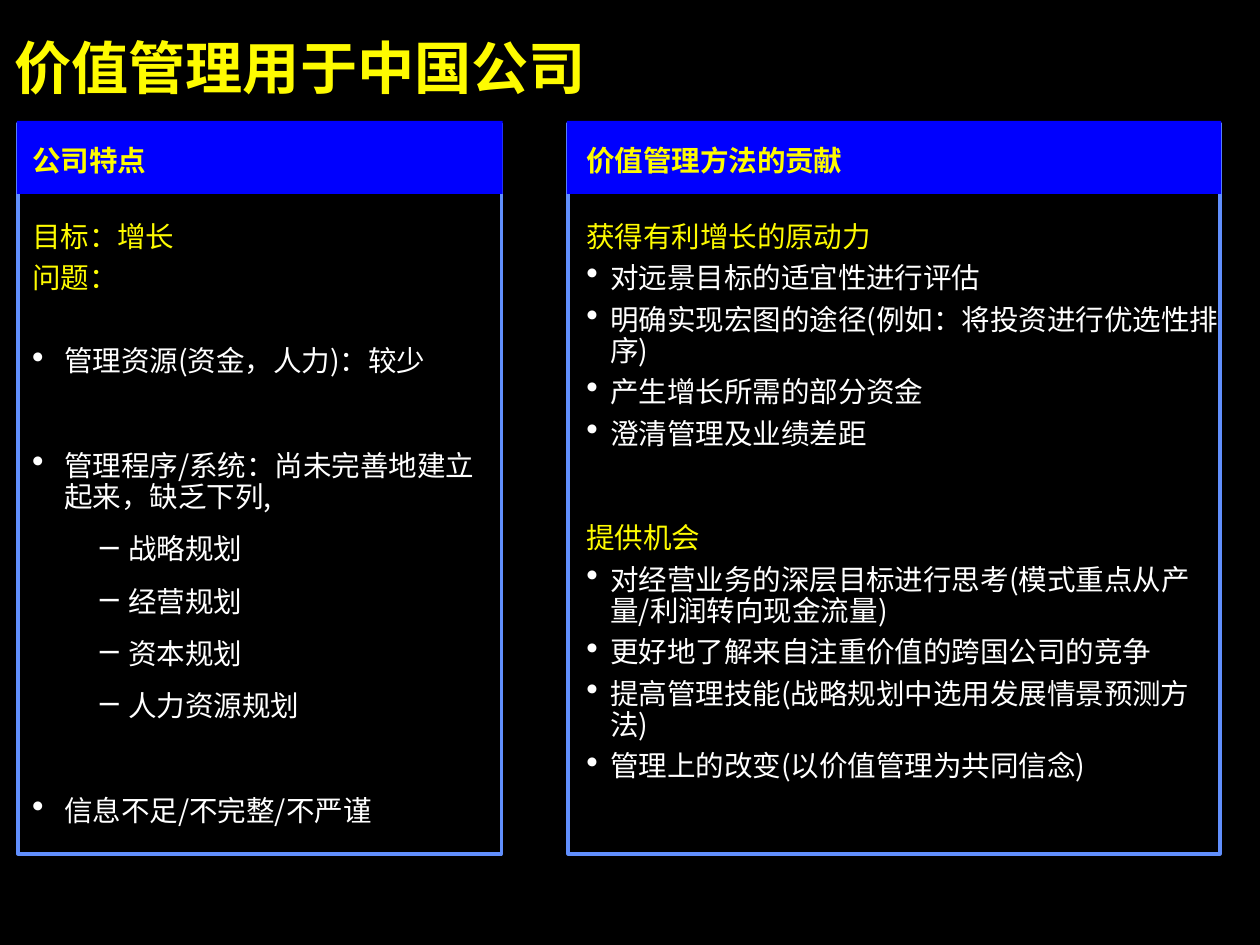
"""Build the slide on value management for Chinese companies."""
from lxml.etree import SubElement
from pptx import Presentation
from pptx.dml.color import RGBColor
from pptx.enum.shapes import MSO_SHAPE
from pptx.enum.text import MSO_ANCHOR, PP_ALIGN
from pptx.oxml.ns import qn
from pptx.util import Pt

TITLE = "价值管理用于中国公司"
FONT = "Noto Sans CJK SC"
BLACK, BLUE, EDGE, YELLOW, WHITE = "000000", "0000FE", "618FFD", "FEFB00", "FFFFFF"

# kind, text, space before, space after
LEFT_LINES = [
    ("head", "目标：增长", 0, 6),
    ("head", "问题：", 0, 6),
    ("bullet", "管理资源(资金，人力)：较少", 23.4, 12),
    ("bullet", "管理程序/系统：尚未完善地建立起来，缺乏下列,", 29.4, 12),
    ("dash", "战略规划", 0, 12),
    ("dash", "经营规划", 0, 12),
    ("dash", "资本规划", 0, 12),
    ("dash", "人力资源规划", 0, 12),
    ("bullet", "信息不足/不完整/不严谨", 29.4, 12),
]
RIGHT_LINES = [
    ("head", "获得有利增长的原动力", 0, 6),
    ("bullet", "对远景目标的适宜性进行评估", 0, 6),
    ("bullet", "明确实现宏图的途径(例如：将投资进行优选性排序)", 0, 6),
    ("bullet", "产生增长所需的部分资金", 0, 6),
    ("bullet", "澄清管理及业绩差距", 0, 6),
    ("head", "提供机会", 35.4, 6),
    ("bullet", "对经营业务的深层目标进行思考(模式重点从产量/利润转向现金流量)", 0, 6),
    ("bullet", "更好地了解来自注重价值的跨国公司的竞争", 0, 6),
    ("bullet", "提高管理技能(战略规划中选用发展情景预测方法)", 0, 6),
    ("bullet", "管理上的改变(以价值管理为共同信念)", 0, 6),
]
COLUMNS = [
    dict(header="公司特点", lines=LEFT_LINES, left=10.1, width=270.7,
         text_left=10.1, text_width=266.4, text_height=375, indent=18),
    dict(header="价值管理方法的贡献", lines=RIGHT_LINES, left=318.2, width=365,
         text_left=320.4, text_width=370, text_height=322, indent=13.5),
]
MARKS = {"bullet": "•", "dash": "–"}
PANEL_TOP, PANEL_HEIGHT = 69.1, 409
HEADER_TOP, HEADER_HEIGHT, OVERHANG = 67.7, 41, 0.7


def color(value):
    return RGBColor.from_string(value)


def add_text(p, text, size=16, fill=WHITE, bold=False, mark=None, margin=0,
             indent=0, before=0, after=0, spacing=1.0, shadow=False):
    pPr = p._p.get_or_add_pPr()
    pPr.set("marL", str(Pt(margin)))
    pPr.set("indent", str(Pt(indent)))
    if mark:
        bullet_color = SubElement(pPr, qn("a:buClr"))
        SubElement(bullet_color, qn("a:srgbClr"), val=WHITE)
        SubElement(pPr, qn("a:buSzPct"), val="120000")
        SubElement(pPr, qn("a:buChar"), char=mark)
    else:
        SubElement(pPr, qn("a:buNone"))
    p.alignment = PP_ALIGN.LEFT
    p.line_spacing = spacing
    p.space_before, p.space_after = Pt(before), Pt(after)
    r = p.add_run()
    r.text = text
    r.font.size, r.font.bold = Pt(size), bold
    r.font.color.rgb = color(fill)
    rPr = r.font._element
    if shadow:
        effects = SubElement(rPr, qn("a:effectLst"))
        outer = SubElement(effects, qn("a:outerShdw"), dist="25400", dir="2700000")
        SubElement(outer, qn("a:srgbClr"), val=BLACK)
    r.font.name = FONT
    SubElement(rPr, qn("a:ea"), typeface=FONT)


def add_rect(s, left, top, width, height, fill=None, line=None):
    sp = s.shapes.add_shape(MSO_SHAPE.RECTANGLE, Pt(left), Pt(top), Pt(width), Pt(height))
    sp.shadow.inherit = False
    if fill:
        sp.fill.solid()
        sp.fill.fore_color.rgb = color(fill)
    else:
        sp.fill.background()
    if line:
        sp.line.color.rgb = color(line)
        sp.line.width = Pt(2)
    else:
        sp.line.fill.background()


def add_box(s, left, top, width, height):
    tf = s.shapes.add_textbox(Pt(left), Pt(top), Pt(width), Pt(height)).text_frame
    tf.word_wrap = True
    tf.margin_left = tf.margin_right = Pt(7.9)
    tf.margin_top = tf.margin_bottom = Pt(3.6)
    return tf


def add_column(s, col):
    add_rect(s, col["left"], PANEL_TOP, col["width"], PANEL_HEIGHT, line=EDGE)
    add_rect(s, col["left"] - OVERHANG, HEADER_TOP, col["width"] + 2 * OVERHANG,
             HEADER_HEIGHT, fill=BLUE)
    tf = add_box(s, col["text_left"], 76.3, col["text_width"], 26.6)
    add_text(tf.paragraphs[0], col["header"], fill=YELLOW, bold=True, shadow=True)
    tf = add_box(s, col["text_left"], 121, col["text_width"], col["text_height"])
    for i, (kind, text, before, after) in enumerate(col["lines"]):
        p = tf.add_paragraph() if i else tf.paragraphs[0]
        margin, indent = (54, -16) if kind == "dash" else (col["indent"], -col["indent"])
        p.level = 1 if kind == "dash" else 0
        add_text(p, text, fill=YELLOW if kind == "head" else WHITE, mark=MARKS.get(kind),
                 margin=margin, indent=indent, before=before, after=after, spacing=0.9)


def main():
    prs = Presentation()
    prs.slide_width, prs.slide_height = Pt(705.6), Pt(529.2)
    s = prs.slides.add_slide(prs.slide_layouts[5])
    s.background.fill.solid()
    s.background.fill.fore_color.rgb = color(BLACK)
    title = s.shapes.title
    title.left, title.top, title.width, title.height = Pt(8), Pt(18), Pt(685), Pt(38)
    tf = title.text_frame
    tf.margin_left = tf.margin_right = tf.margin_top = tf.margin_bottom = 0
    tf.vertical_anchor = MSO_ANCHOR.TOP
    add_text(tf.paragraphs[0], TITLE, size=32, fill=YELLOW, bold=True)
    for col in COLUMNS:
        add_column(s, col)
    prs.save("out.pptx")


if __name__ == "__main__":
    main()
